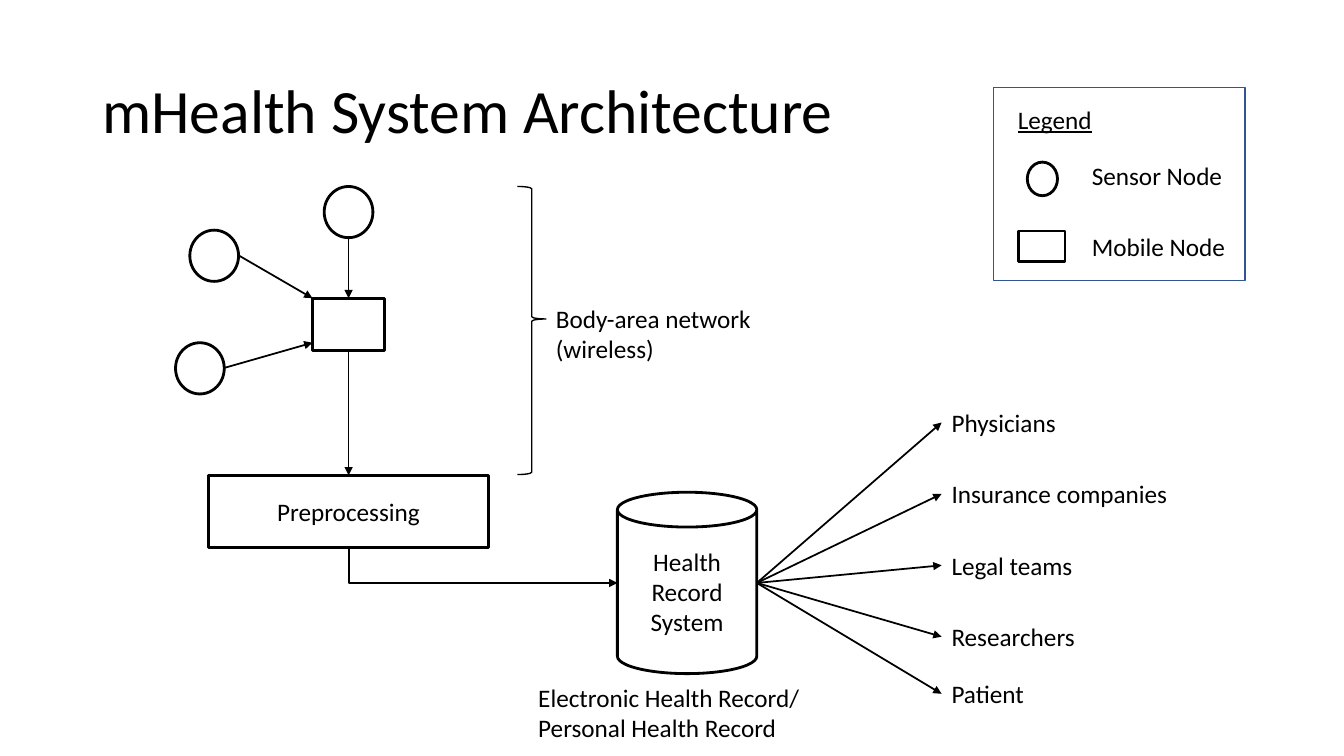
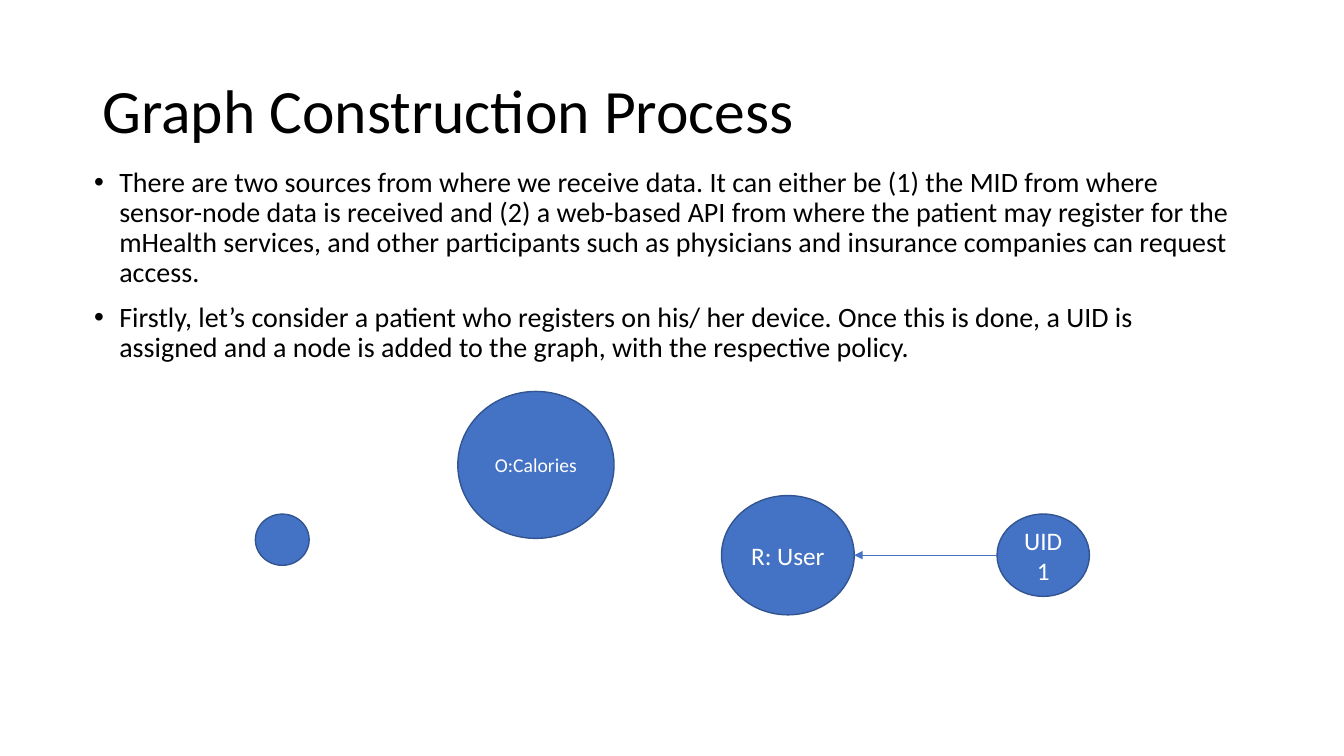
"""Build two slides on an mHealth system: its architecture and its graph construction."""
import dataclasses

import lxml.etree
import pptx
import pptx.dml.color
import pptx.enum.shapes
import pptx.enum.text
import pptx.oxml.ns
import pptx.util

SHAPE = pptx.enum.shapes.MSO_SHAPE
CONNECTOR = pptx.enum.shapes.MSO_CONNECTOR
ALIGN = pptx.enum.text.PP_ALIGN
ANCHOR = pptx.enum.text.MSO_ANCHOR
FIT = pptx.enum.text.MSO_AUTO_SIZE
RGB = pptx.dml.color.RGBColor.from_string
Pt = pptx.util.Pt
qn = pptx.oxml.ns.qn


@dataclasses.dataclass(frozen=True)
class Theme:
    font: str = "Calibri"
    ink: str = "000000"
    paper: str = "FFFFFF"
    accent: str = "4472C4"
    accent_edge: str = "325491"
    title_size: int = 44
    body_size: int = 20
    label_size: int = 18
    small_size: int = 14
    outline: float = 2
    flow: float = 1.25
    thin: float = 1
    hairline: float = 0.5


theme = Theme()
COLUMNS, ROWS = 160, 90
UNIT = pptx.util.Inches(40 / 3) / COLUMNS


def block(slide, kind, cell, text="", fill=None, edge=theme.ink, weight=theme.outline,
          ink=theme.ink, size=theme.label_size, underline=None):
    """Place a shape, or a plain label when kind is None, on the grid."""
    box = [round(value * UNIT) for value in cell]
    if kind is None:
        item = slide.shapes.add_textbox(*box)
        item.text_frame.auto_size = FIT.SHAPE_TO_FIT_TEXT
    else:
        item = slide.shapes.add_shape(kind, *box)
        item.shadow.inherit = False
        if fill:
            item.fill.solid()
            item.fill.fore_color.rgb = RGB(fill)
        else:
            item.fill.background()
        item.line.color.rgb = RGB(edge)
        item.line.width = Pt(weight)
        item.text_frame.vertical_anchor = ANCHOR.MIDDLE
    item.text_frame.word_wrap = True
    if text:
        paragraph = item.text_frame.paragraphs[0]
        paragraph.alignment = ALIGN.LEFT if kind is None else ALIGN.CENTER
        run = paragraph.add_run()
        run.text = text
        run.font.name = theme.font
        run.font.size = Pt(size)
        run.font.color.rgb = RGB(ink)
        run.font.underline = underline
    return item


def arrow(slide, start, end, begin_at=None, end_at=None, kind=CONNECTOR.STRAIGHT,
          color=theme.ink, weight=theme.flow):
    """Draw an arrow between grid points, joined to (shape, site) where given."""
    link = slide.shapes.add_connector(kind, *[round(value * UNIT) for value in start + end])
    link.line.color.rgb = RGB(color)
    link.line.width = Pt(weight)
    properties = link._element.spPr
    lxml.etree.SubElement(properties.find(qn("a:ln")), qn("a:tailEnd"), type="triangle")
    lxml.etree.SubElement(properties, qn("a:effectLst"))
    if begin_at:
        link.begin_connect(*begin_at)
    if end_at:
        link.end_connect(*end_at)
    return link


deck = pptx.Presentation()
deck.slide_width = round(COLUMNS * UNIT)
deck.slide_height = round(ROWS * UNIT)

slides = []
for heading, layout in (("mHealth System Architecture", 5), ("Graph Construction Process", 1)):
    slide = deck.slides.add_slide(deck.slide_layouts[layout])
    title = slide.shapes.title
    title.left, title.top, title.width, title.height = [
        round(value * UNIT) for value in (11, 4.8, 138, 17.4)]
    title.text_frame.auto_size = FIT.NONE
    title.text_frame.vertical_anchor = ANCHOR.MIDDLE
    paragraph = title.text_frame.paragraphs[0]
    paragraph.alignment = ALIGN.LEFT
    paragraph.line_spacing = 0.9
    run = paragraph.add_run()
    run.text = heading
    run.font.name = theme.font
    run.font.size = Pt(theme.title_size)
    run.font.color.rgb = RGB(theme.ink)
    slides.append(slide)
architecture, construction = slides

trunk = 41.5
mobile_node = block(architecture, SHAPE.RECTANGLE, (37.2, 35.5, 8.6, 6.2), fill=theme.paper)
for left, top in ((38.6, 22.2), (22.6, 27.4), (20.9, 40.8)):
    block(architecture, SHAPE.OVAL, (left, top, 5.8, 6.1), fill=theme.paper)
preprocessing = block(architecture, SHAPE.RECTANGLE, (24.8, 56.6, 33.4, 8.6), "Preprocessing")
record_system = block(architecture, SHAPE.CAN, (73.5, 58.6, 16.6, 21.6),
                      "Health Record System", fill=theme.paper)

arrow(architecture, (trunk, 28.3), (trunk, 35.5), end_at=(mobile_node, 0))
arrow(architecture, (28.4, 30.4), (37.2, 35.5))
arrow(architecture, (26.7, 43.8), (37.2, 40.8))
arrow(architecture, (trunk, 41.7), (trunk, 56.6), (mobile_node, 2), (preprocessing, 0))

source_row, record_column, record_row = 65.2, 73.5, 69.4
run_length, drop = record_column - trunk, record_row - source_row
feed = arrow(architecture, (trunk, source_row), (record_column, record_row),
             (preprocessing, 2), (record_system, 2), CONNECTOR.ELBOW)
feed.left = round(((trunk + record_column - drop) / 2) * UNIT)
feed.top = round(((source_row + record_row - run_length) / 2) * UNIT)
feed.width, feed.height = round(drop * UNIT), round(run_length * UNIT)
feed_properties = feed._element.spPr
feed_properties.find(qn("a:prstGeom")).set("prst", "bentConnector2")
feed_frame = feed_properties.find(qn("a:xfrm"))
feed_frame.set("rot", str(270 * 60000))
feed_frame.set("flipH", "1")

recipients = (
    ("Physicians", 47.9, 25.4),
    ("Insurance companies", 56.4, 29.9),
    ("Legal teams", 64.9, 24.6),
    ("Researchers", 73.4, 22.8),
    ("Patient", 80.2, 22.8),
)
for name, top, width in recipients:
    recipient = block(architecture, None, (112.1, top, width, 4.8), name)
    arrow(architecture, (90.1, record_row), (112.1, top + 2.4), end_at=(recipient, 1))

network_span = block(architecture, SHAPE.RIGHT_BRACE, (61.6, 22.2, 3.4, 34.3), weight=theme.thin)
network_span.adjustments[0] = 0.08
network_span.adjustments[1] = 0.46
block(architecture, None, (65, 35.5, 29.8, 8.5), "Body-area network (wireless)")
block(architecture, None, (62.9, 80.6, 34.3, 8.5),
      "Electronic Health Record/ Personal Health Record")

legend = (
    (SHAPE.OVAL, (122.3, 19.3, 3.6, 4), "Sensor Node", 18.5, 29.9),
    (SHAPE.RECTANGLE, (121.3, 27.5, 5.5, 3.6), "Mobile Node", 27, 19.2),
)
for kind, cell, meaning, top, width in legend:
    block(architecture, kind, cell, fill=theme.paper)
    block(architecture, None, (128.8, top, width, 4.8), meaning)
block(architecture, SHAPE.RECTANGLE, (118.3, 10.4, 29.9, 23),
      edge=theme.accent_edge, weight=theme.thin)
block(architecture, None, (120, 11.8, 29.6, 4.9), "Legend", underline=True)

steps = construction.placeholders[1]
steps.left, steps.top, steps.width, steps.height = [
    round(value * UNIT) for value in (10, 19.4, 138, 25.1)]
steps.text_frame.auto_size = FIT.NONE
sentences = (
    "There are two sources from where we receive data. It can either be (1) the MID from where "
    "sensor-node data is received and (2) a web-based API from where the patient may register "
    "for the mHealth services, and other participants such as physicians and insurance "
    "companies can request access.",
    "Firstly, let’s consider a patient who registers on his/ her device. Once this is done, a "
    "UID is assigned and a node is added to the graph, with the respective policy.",
)
for index, sentence in enumerate(sentences):
    frame = steps.text_frame
    paragraph = frame.add_paragraph() if index else frame.paragraphs[0]
    paragraph.line_spacing = 0.9
    paragraph.space_before = Pt(10)
    indent = pptx.util.Inches(0.25)
    paragraph_format = paragraph._p.get_or_add_pPr()
    paragraph_format.set("marL", str(indent))
    paragraph_format.set("indent", str(-indent))
    run = paragraph.add_run()
    run.text = sentence
    run.font.name = theme.font
    run.font.size = Pt(theme.body_size)
    run.font.color.rgb = RGB(theme.ink)

graph_nodes = (
    ((118.7, 61.2, 11, 9.8), "UID1", theme.label_size),
    ((85.9, 59, 15.8, 14.2), "R: User", theme.label_size),
    ((30.4, 61.2, 6.4, 6.1), "", theme.label_size),
    ((54.5, 46.6, 18.6, 17.5), "O:Calories", theme.small_size),
)
for cell, name, size in graph_nodes:
    block(construction, SHAPE.OVAL, cell, name, theme.accent, theme.accent_edge,
          theme.thin, theme.paper, size)
arrow(construction, (118.7, 66.1), (101.7, 66.1), color=theme.accent, weight=theme.hairline)

deck.save("out.pptx")
